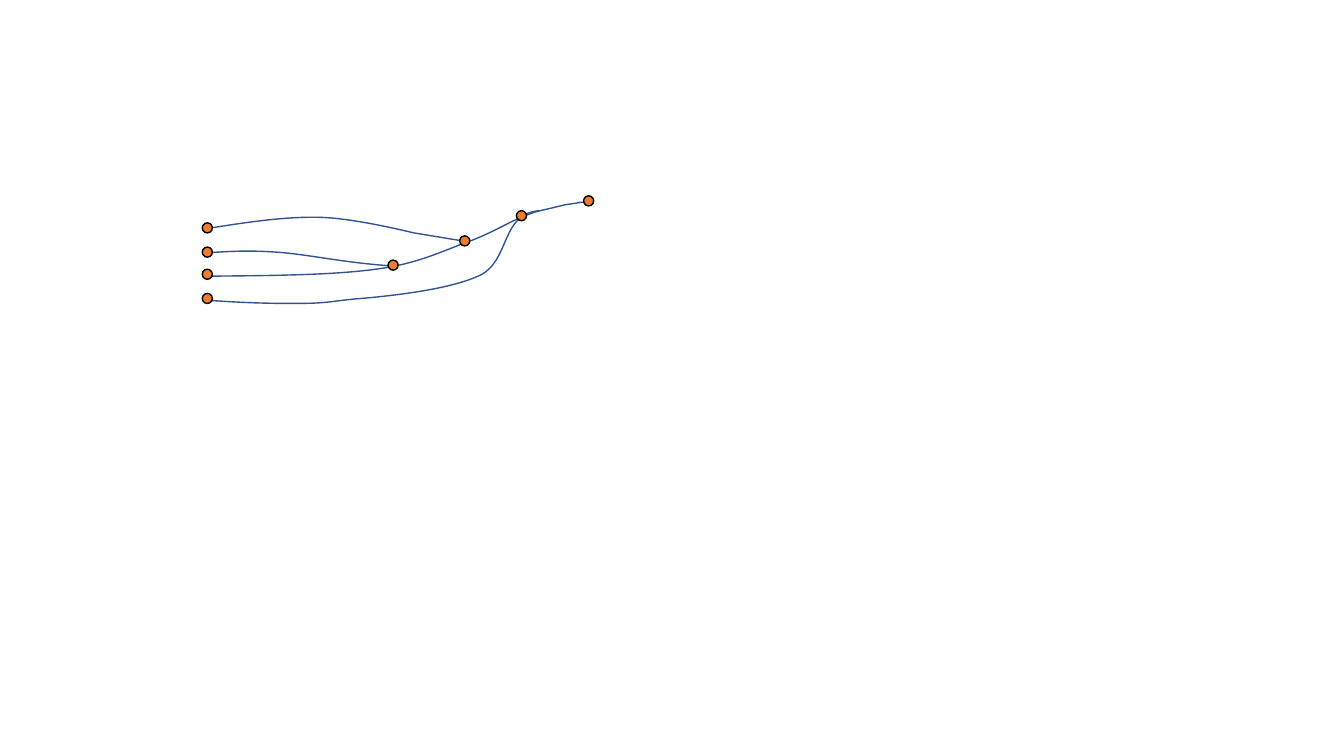
from lxml.etree import SubElement
from pptx import Presentation
from pptx.dml.color import RGBColor
from pptx.enum.shapes import MSO_SHAPE
from pptx.oxml.ns import qn
from pptx.util import Pt

BRANCH_COLOR, NODE_FILL, NODE_LINE = "325491", "ED7D31", "000000"
NODE_SIZE = 7.2

# Points from the tree's corner: a start, then segments that hold
# two handles and an end for a curve, or only an end for a straight line
BRANCHES = [
    [(2.9, 26.6),
     [(30.2, 22.3), (57.6, 18), (82.1, 18.4)],
     [(107.3, 18.4), (151.2, 29.5), (151.2, 29.5)],
     [(190.8, 36)]],
    [(5.8, 60.5),
     [(49.7, 60.1), (92.9, 59.8), (123.8, 55.6)],
     [(154.1, 51.8), (172.1, 42.5), (190.1, 36)],
     [(208.1, 29.5), (219.6, 21.6), (231.1, 17.3)],
     [(242.6, 13), (234, 15.8), (259.2, 9.6)],
     [(285.1, 5.8), (254.9, 9.4), (277.9, 7.2)]],
    [(5.8, 77.8),
     [(35.3, 79.9), (56.2, 80.1), (74.2, 79.9)],
     [(92.9, 79.6), (95, 77.8), (116.6, 76.2)],
     [(138.2, 74.2), (178.6, 69.8), (199.4, 59.6)],
     [(220.3, 49), (213.8, 15.8), (241.2, 13.7)]],
    [(5.8, 43.7),
     [(20.9, 42.7), (35.3, 41.8), (56.9, 43.6)],
     [(78.5, 45.4), (103, 51.1), (137.5, 53.3)]],
]

# Node centres: root, then inner nodes, then leaves in one column
LEAF_X = 4.1
NODES = [(276.5, 6.7), (228.5, 17.3), (188, 35.3), (136.8, 52.6)]
NODES += [(LEAF_X, y) for y in (26, 43.3, 59.1, 76.4)]


def color(hex_string):
    return RGBColor.from_string(hex_string)


def style_line(shape, hex_string):
    shape.shadow.inherit = False
    shape.line.color.rgb = color(hex_string)
    shape.line.width = Pt(1)


def add_branch(shapes, left, top, start, segments):
    def place(point):
        return Pt(left + point[0]), Pt(top + point[1])

    builder = shapes.build_freeform(*place(start))
    builder.add_line_segments([place(segment[-1]) for segment in segments], close=False)
    branch = builder.convert_to_shape()
    # Bend the straight segments that have handles
    for line, segment in zip(list(branch._element.iter(qn("a:lnTo"))), segments):
        if len(segment) == 3:
            curve = SubElement(line.getparent(), qn("a:cubicBezTo"))
            for x, y in map(place, segment):
                SubElement(curve, qn("a:pt"), x=str(x - branch.left), y=str(y - branch.top))
            line.getparent().replace(line, curve)
    branch.fill.background()
    style_line(branch, BRANCH_COLOR)


def add_node(shapes, center_x, center_y):
    node = shapes.add_shape(
        MSO_SHAPE.OVAL, Pt(center_x - NODE_SIZE / 2), Pt(center_y - NODE_SIZE / 2),
        Pt(NODE_SIZE), Pt(NODE_SIZE))
    node.fill.solid()
    node.fill.fore_color.rgb = color(NODE_FILL)
    style_line(node, NODE_LINE)


def add_tree(slide, left, top):
    shapes = slide.shapes.add_group_shape().shapes
    # Curved branches behind the nodes
    for start, *segments in BRANCHES:
        add_branch(shapes, left, top, start, segments)
    for x, y in NODES:
        add_node(shapes, left + x, top + y)


def main():
    presentation = Presentation()
    presentation.slide_width, presentation.slide_height = Pt(960), Pt(540)
    slide = presentation.slides.add_slide(presentation.slide_layouts[6])
    add_tree(slide, left=144, top=136.8)
    presentation.save("out.pptx")


if __name__ == "__main__":
    main()
